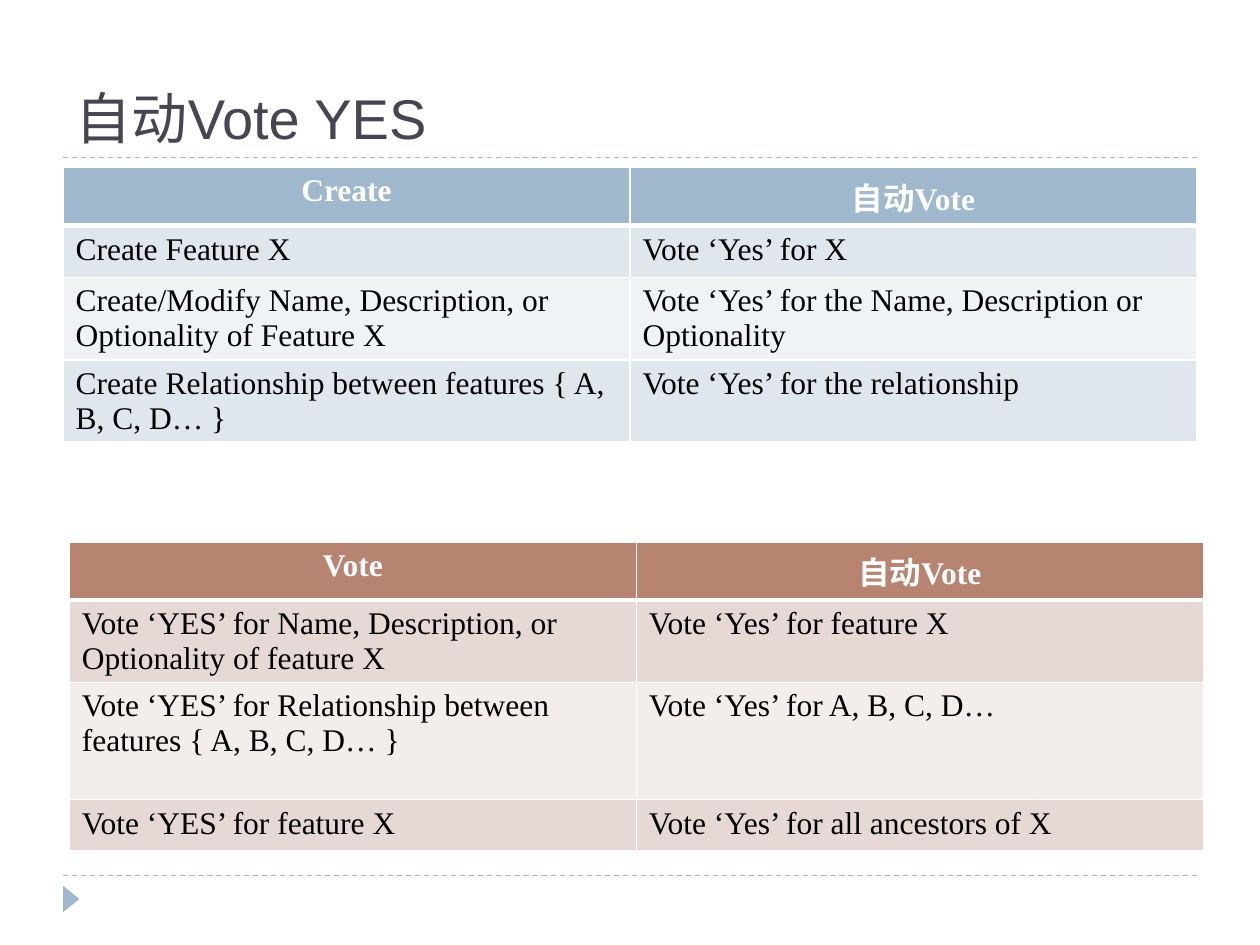
"""Build the slide listing which votes are cast automatically."""
from lxml import etree
from pptx import Presentation
from pptx import util as u
from pptx.dml.color import RGBColor
from pptx.enum import dml, shapes, text
from pptx.oxml import parse_xml
from pptx.oxml.ns import nsdecls, qn

BLUE = RGBColor(0x9F, 0xB8, 0xCD)
INK = RGBColor(0x46, 0x46, 0x53)
WHITE = RGBColor(0xFF, 0xFF, 0xFF)
BLACK = RGBColor(0, 0, 0)

TITLE = "自动Vote YES"
RULE_TOPS = (1.25, 6.95)
COLUMN_WIDTH = 4.5
VOTE_TABLES = [
    {
        "position": (0.5, 1.33),
        "heights": (0.46, 0.41, 0.65, 0.65),
        "header": BLUE,
        "bands": (RGBColor(0xDF, 0xE6, 0xED), RGBColor(0xF0, 0xF3, 0xF6)),
        "rows": [
            ("Create", "自动Vote"),
            ("Create Feature X", "Vote ‘Yes’ for X"),
            ("Create/Modify Name, Description, or Optionality of Feature X",
             "Vote ‘Yes’ for the Name, Description or Optionality"),
            ("Create Relationship between features { A, B, C, D… }",
             "Vote ‘Yes’ for the relationship"),
        ],
    },
    {
        "position": (0.55, 4.3),
        "heights": (0.46, 0.65, 0.93, 0.41),
        "header": RGBColor(0xB8, 0x84, 0x72),
        "bands": (RGBColor(0xE6, 0xD9, 0xD5), RGBColor(0xF3, 0xED, 0xEB)),
        "rows": [
            ("Vote", "自动Vote"),
            ("Vote ‘YES’ for Name, Description, or Optionality of feature X",
             "Vote ‘Yes’ for feature X"),
            ("Vote ‘YES’ for Relationship between features { A, B, C, D… }",
             "Vote ‘Yes’ for A, B, C, D…"),
            ("Vote ‘YES’ for feature X", "Vote ‘Yes’ for all ancestors of X"),
        ],
    },
]


def write(frame, words, size=18, font="Times New Roman", color=BLACK,
          bold=False, align=text.PP_ALIGN.LEFT):
    paragraph = frame.paragraphs[0]
    paragraph.alignment = align
    run = paragraph.add_run()
    run.text = words
    run.font.size = u.Pt(size)
    run.font.name = font
    run.font.bold = bold
    run.font.color.rgb = color


def add_borders(cell, bottom, top):
    properties = cell._tc.get_or_add_tcPr()
    for side, points in (("L", 1), ("R", 1), ("T", top), ("B", bottom)):
        properties.append(parse_xml(
            f'<a:ln{side} {nsdecls("a")} w="{u.Pt(points)}"><a:solidFill>'
            f'<a:srgbClr val="{WHITE}"/></a:solidFill></a:ln{side}>'))


def add_rule(slide, top):
    rule = slide.shapes.add_connector(
        shapes.MSO_CONNECTOR.STRAIGHT,
        u.Inches(0.5), u.Inches(top), u.Inches(9.5), u.Inches(top))
    rule.line.color.rgb = BLUE
    rule.line.width = u.Pt(0.75)
    rule.line.dash_style = dml.MSO_LINE.DASH
    etree.SubElement(rule._element.spPr, qn("a:effectLst"))


def add_marker(slide):
    marker = slide.shapes.add_shape(
        shapes.MSO_SHAPE.ISOSCELES_TRIANGLE,
        u.Inches(0.46), u.Inches(7.07), u.Inches(0.21), u.Inches(0.13))
    marker.rotation = 90
    marker.shadow.inherit = False
    marker.fill.solid()
    marker.fill.fore_color.rgb = BLUE
    marker.line.fill.background()


def add_title(slide):
    title = slide.shapes.title
    title.left, title.top = u.Inches(0.5), u.Inches(0.17)
    title.width, title.height = u.Inches(9), u.Inches(1.08)
    title.text_frame.vertical_anchor = text.MSO_ANCHOR.BOTTOM
    write(title.text_frame, TITLE, size=32, font="Arial", color=INK)


def add_votes(slide, votes):
    rows, heights = votes["rows"], votes["heights"]
    left, top = votes["position"]
    table = slide.shapes.add_table(
        len(rows), len(rows[0]), u.Inches(left), u.Inches(top),
        u.Inches(COLUMN_WIDTH * len(rows[0])), u.Inches(sum(heights))).table
    for column in table.columns:
        column.width = u.Inches(COLUMN_WIDTH)
    for r, row in enumerate(rows):
        table.rows[r].height = u.Inches(heights[r])
        heading = r == 0
        for c, words in enumerate(row):
            cell = table.cell(r, c)
            add_borders(cell, bottom=3 if heading else 1, top=3 if r == 1 else 1)
            cell.fill.solid()
            cell.fill.fore_color.rgb = (
                votes["header"] if heading else votes["bands"][(r - 1) % 2])
            write(cell.text_frame, words, bold=heading,
                  color=WHITE if heading else BLACK,
                  align=text.PP_ALIGN.CENTER if heading else text.PP_ALIGN.LEFT)


def main():
    deck = Presentation()
    deck.slide_width, deck.slide_height = u.Inches(10), u.Inches(7.5)
    slide = deck.slides.add_slide(deck.slide_layouts[5])
    for top in RULE_TOPS:
        add_rule(slide, top)
    add_marker(slide)
    add_title(slide)
    for votes in VOTE_TABLES:
        add_votes(slide, votes)
    deck.save("out.pptx")


if __name__ == "__main__":
    main()
